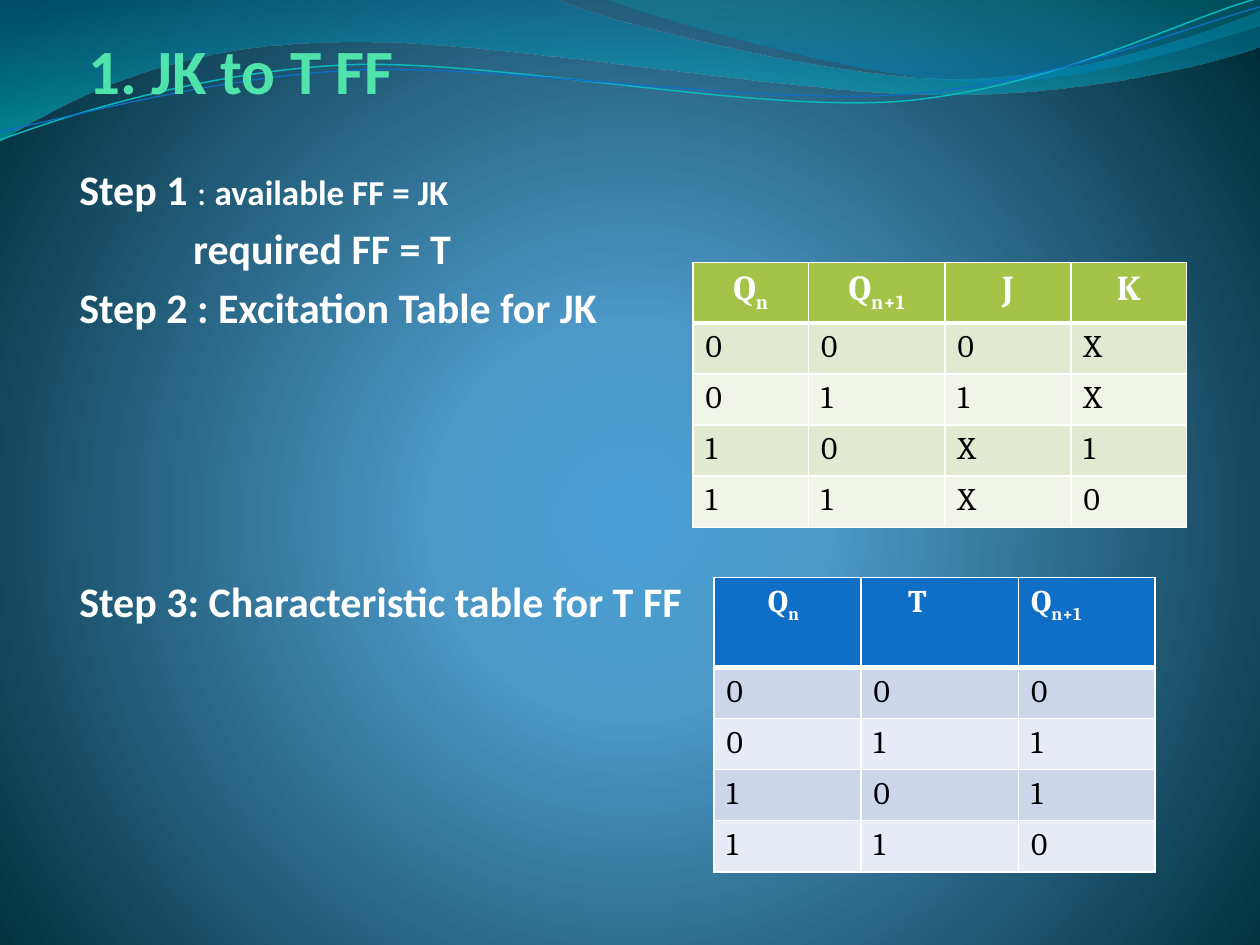
from pptx import Presentation
from pptx.dml.color import RGBColor
from pptx.enum.text import MSO_ANCHOR, MSO_AUTO_SIZE, PP_ALIGN
from pptx.oxml import parse_xml
from pptx.oxml.ns import nsdecls, qn
from pptx.util import Pt

WHITE = RGBColor(0xFF, 0xFF, 0xFF)
BLACK = RGBColor(0x00, 0x00, 0x00)
MINT = RGBColor(0x50, 0xE3, 0xAC)
AQUA = RGBColor(0x0A, 0xB8, 0xBF)
BLUE = RGBColor(0x0F, 0x6F, 0xC6)
GREEN = RGBColor(0xA5, 0xC2, 0x49)
GREEN_BANDS = (RGBColor(0xE1, 0xE9, 0xD0), RGBColor(0xF0, 0xF4, 0xE9))
BLUE_BANDS = (RGBColor(0xCC, 0xD5, 0xEA), RGBColor(0xE7, 0xEB, 0xF5))
SKY = RGBColor(0x4A, 0xA0, 0xD6)
STEEL = RGBColor(0x4C, 0x98, 0xC7)
NIGHT = RGBColor(0x00, 0x2C, 0x38)
OCEAN = RGBColor(0x00, 0x74, 0xA1)
CYAN = RGBColor(0x00, 0xC6, 0xCF)
TEAL = RGBColor(0x00, 0xA1, 0xA9)
LAGOON = RGBColor(0x00, 0x8B, 0xBF)

DOWNWARD = '<a:lin ang="5400000" scaled="0"/>'
RADIAL = '<a:path path="circle"><a:fillToRect l="10000" t="110000" r="10000" b="100000"/></a:path>'

WIDE_BAND = [(0, 0), (317, -1), (343, 12, 478, 45, 546, 45), (614, 45, 690, 19, 720, 6),
             (721, 26), (708, 32, 626, 55, 537, 54), (448, 54, 275, 20, 185, 24),
             (93, 26, 33, 60, -1, 81)]
RIGHT_BAND = [(345, -1), (367, 8, 491, 45, 554, 47), (616, 50, 692, 23, 720, 15), (720, 0)]
AQUA_WAVE = [(0, 80), (35, 67, 114, 41, 199, 37), (284, 34, 427, 64, 513, 58),
             (600, 51, 675, 11, 719, -1)]
BLUE_WAVE = [(0, 75), (34, 69, 118, 44, 204, 40), (290, 37, 430, 60, 516, 54),
             (602, 48, 678, 15, 720, 4)]


def set_gradient(fill, element, stops, direction):
    """Fill with (position, colour, opacity) stops, all in percent."""
    fill.gradient()
    old = element.find(".//" + qn("a:gradFill"))
    stop_xml = "".join(
        f'<a:gs pos="{position * 1000}"><a:srgbClr val="{color}">'
        f'<a:alpha val="{opacity * 1000}"/></a:srgbClr></a:gs>'
        for position, color, opacity in stops)
    old.getparent().replace(old, parse_xml(
        f'<a:gradFill {nsdecls("a")} rotWithShape="1"><a:gsLst>{stop_xml}</a:gsLst>'
        f'{direction}</a:gradFill>'))


def add_outline(slide, segments, close):
    """Add a shadowless freeform; six-number segments are cubic curves."""
    start, *others = [(Pt(segment[-2]), Pt(segment[-1])) for segment in segments]
    builder = slide.shapes.build_freeform(*start, scale=1.0)
    builder.add_line_segments(others, close=close)
    shape = builder.convert_to_shape()
    shape.shadow.inherit = False
    lines = shape.element.findall(".//" + qn("a:lnTo"))
    for line, segment in zip(lines, segments[1:]):
        if len(segment) == 6:
            points = "".join(
                f'<a:pt x="{Pt(x) - shape.left}" y="{Pt(y) - shape.top}"/>'
                for x, y in zip(segment[::2], segment[1::2]))
            line.getparent().replace(line, parse_xml(
                f'<a:cubicBezTo {nsdecls("a")}>{points}</a:cubicBezTo>'))
    return shape


def add_band(slide, segments, stops):
    """Add a translucent band with a gradient."""
    shape = add_outline(slide, segments, True)
    shape.line.fill.background()
    set_gradient(shape.fill, shape.element, stops, DOWNWARD)


def add_wave(slide, segments, color, width):
    """Add a thin open curve."""
    shape = add_outline(slide, segments, False)
    shape.fill.background()
    shape.line.color.rgb = color
    shape.line.width = Pt(width)


def format_run(run, font, size, color, bold):
    """Set the font of one run."""
    run.font.name = font
    run.font.size = Pt(size)
    run.font.color.rgb = color
    run.font.bold = bold


def set_title(slide, text):
    """Place the title above the waves."""
    title = slide.shapes.title
    slide.shapes.element.append(title.element)
    title.left, title.top, title.width, title.height = Pt(18), Pt(18), Pt(612), Pt(43.2)
    frame = title.text_frame
    frame.text = text
    frame.auto_size = MSO_AUTO_SIZE.NONE
    frame.vertical_anchor = MSO_ANCHOR.BOTTOM
    frame.margin_left = Pt(32.5)
    frame.margin_top = frame.margin_right = frame.margin_bottom = 0
    frame.paragraphs[0].alignment = PP_ALIGN.LEFT
    format_run(frame.paragraphs[0].runs[0], "Calibri", 36, MINT, True)


def add_steps(slide, steps):
    """Add the steps, each as (space before, indent, runs)."""
    frame = slide.shapes.add_textbox(Pt(41.76), Pt(90), Pt(654.5), Pt(419.76)).text_frame
    frame.word_wrap = True
    frame.margin_left = frame.margin_top = frame.margin_right = frame.margin_bottom = Pt(3.6)
    for index, (space, indent, runs) in enumerate(steps):
        paragraph = frame.add_paragraph() if index else frame.paragraphs[0]
        paragraph.space_before = Pt(space)
        paragraph._p.get_or_add_pPr().set("marL", str(Pt(indent)))
        for text, size, bold in runs:
            run = paragraph.add_run()
            run.text = text
            format_run(run, "Calibri", size, WHITE, bold)


def style_cell(cell, color, top, bottom):
    """Fill a cell and give it white borders."""
    cell.fill.solid()
    cell.fill.fore_color.rgb = color
    properties = cell._tc.get_or_add_tcPr()
    for index, (side, width) in enumerate(zip("LRTB", (1, 1, top, bottom))):
        properties.insert(index, parse_xml(
            f'<a:ln{side} {nsdecls("a")} w="{Pt(width)}"><a:solidFill>'
            f'<a:srgbClr val="{WHITE}"/></a:solidFill></a:ln{side}>'))


def fill_header(cell, label, size, alignment):
    """Write a header as (text, subscript, extra left margin)."""
    text, subscript, indent = label
    cell.margin_left = Pt(7.2 + indent)
    paragraph = cell.text_frame.paragraphs[0]
    paragraph.alignment = alignment
    for part, baseline in ((text, 0), (subscript, -25000)):
        if part:
            run = paragraph.add_run()
            run.text = part
            format_run(run, "Cambria", size, WHITE, True)
            run._r.get_or_add_rPr().set("baseline", str(baseline))


def add_truth_table(slide, position, widths, header_height, header, rows, color, bands,
                    header_size, alignment):
    """Add a banded table with a header row."""
    row_height = 29.2
    left, top = position
    table = slide.shapes.add_table(
        len(rows) + 1, len(widths), Pt(left), Pt(top), Pt(sum(widths)),
        Pt(header_height + row_height * len(rows))).table
    for column, width in zip(table.columns, widths):
        column.width = Pt(width)
    for index, row in enumerate(table.rows):
        row.height = Pt(row_height if index else header_height)
    for cell, label in zip(table.rows[0].cells, header):
        style_cell(cell, color, 1, 3)
        fill_header(cell, label, header_size, alignment)
    for index, values in enumerate(rows):
        for cell, value in zip(table.rows[index + 1].cells, values):
            style_cell(cell, bands[index % 2], 1 if index else 3, 1)
            cell.text_frame.text = value
            format_run(cell.text_frame.paragraphs[0].runs[0], "Cambria", 18, BLACK, False)


def main():
    """Build the flip-flop conversion slide."""
    presentation = Presentation()
    presentation.slide_width, presentation.slide_height = Pt(720), Pt(540)
    slide = presentation.slides.add_slide(presentation.slide_layouts[5])
    set_gradient(slide.background.fill, slide.element,
                 [(0, SKY, 100), (25, STEEL, 100), (100, NIGHT, 100)], RADIAL)
    add_band(slide, WIDE_BAND, [(0, OCEAN, 45), (100, CYAN, 55)])
    add_band(slide, RIGHT_BAND, [(0, TEAL, 30), (80, LAGOON, 45)])
    add_wave(slide, AQUA_WAVE, AQUA, 0.85)
    add_wave(slide, BLUE_WAVE, BLUE, 0.75)
    set_title(slide, "1. JK to T FF")
    add_steps(slide, [
        (0, 0, [("Step 1 ", 24, True), (": ", 20, False), ("available FF = JK", 20, True)]),
        (4.8, 65, [("required FF = T", 24, True)]),
        (4.8, 0, [("Step 2 : Excitation Table for JK", 24, True)]),
        (139.2, 0, [("Step 3: Characteristic table for T FF", 24, True)])])
    add_truth_table(slide, (396, 150), (66, 78, 72, 66), 31.8,
                    [("Q", "n", 0), ("Q", "n+1", 0), ("J", "", 0), ("K", "", 0)],
                    ["000X", "011X", "10X1", "11X0"], GREEN, GREEN_BANDS, 20, PP_ALIGN.CENTER)
    add_truth_table(slide, (408, 330), (84, 90, 78), 51.4,
                    [("Q", "n", 23.6), ("T", "", 19.8), ("Q", "n+1", 0)],
                    ["000", "011", "101", "110"], BLUE, BLUE_BANDS, 18, PP_ALIGN.LEFT)
    presentation.save("out.pptx")


if __name__ == "__main__":
    main()
